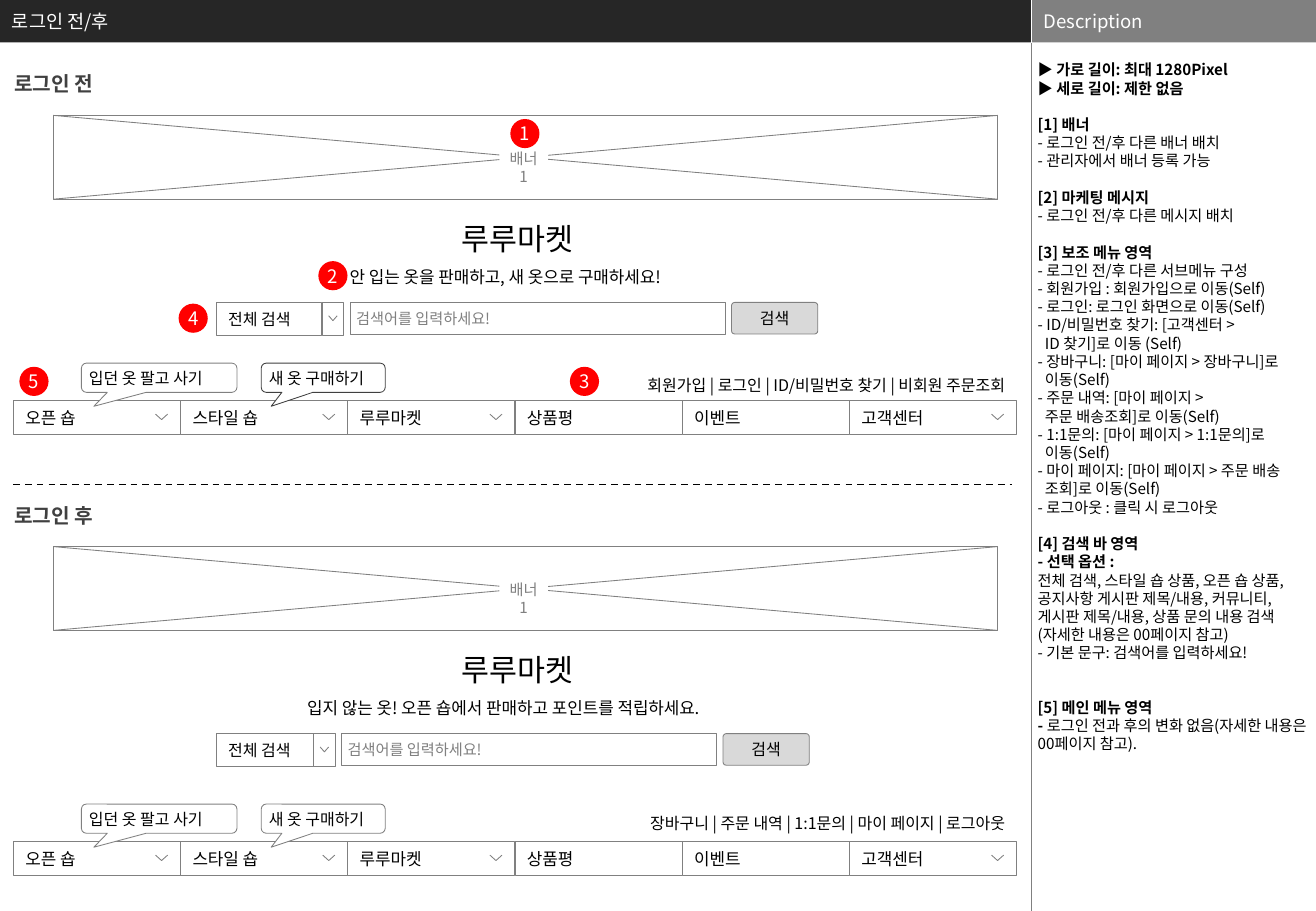
from dataclasses import dataclass

from lxml import etree
from pptx import Presentation, util as u
from pptx.dml.color import RGBColor
from pptx.enum import dml, shapes, text
from pptx.oxml import ns

COLS, ROWS = 1083, 750
CELL = u.Inches(0.01)
FONT = "Noto Sans CJK KR"
GREY, DARK, WHITE, BLACK, RED = "808080", "404040", "FFFFFF", "000000", "FF0000"
KIND, SIDE = shapes.MSO_SHAPE, text.PP_ALIGN
LEAD = 10.8
SPLIT, HEAD = 849, 35
TAB, DEEP = 137.6, 28


@dataclass
class Box:
    x: float
    y: float
    w: float
    h: float


@dataclass
class Type:
    size: float = 9.5
    color: str = BLACK
    bold: bool = False
    side: SIDE = SIDE.LEFT
    pad: float = 5


@dataclass
class Part:
    title: str
    slogan: str
    links: str
    top: int
    menu: int
    left: int
    pick: int
    edge: str
    gap: int


@dataclass
class Note:
    text: str
    bold: bool = False
    gap: int = 0
    dent: int = 0
    tail: str = ""


@dataclass
class Mark:
    label: str
    x: int
    y: int


PARTS = [
    Part("로그인 전", "안 입는 옷을 판매하고, 새 옷으로 구매하세요!",
         "회원가입 | 로그인 | ID/비밀번호 찾기 | 비회원 주문조회", 95, 330, 278, 87, DARK, 13),
    Part("로그인 후", "입지 않는 옷! 오픈 숍에서 판매하고 포인트를 적립하세요.",
         "장바구니 | 주문 내역 | 1:1문의 | 마이 페이지 | 로그아웃", 450, 693, 243, 80, GREY, 15),
]
MENU = [("오픈 숍", True), ("스타일 숍", True), ("루루마켓", True),
        ("상품평", False), ("이벤트", False), ("고객센터", True)]
MARKS = [Mark("1", 420, 98), Mark("2", 262, 215), Mark("3", 469, 302),
         Mark("4", 147, 250), Mark("5", 16, 302)]
NOTES = [
    Note("▶ 가로 길이: 최대 1280Pixel", True),
    Note("▶ 세로 길이: 제한 없음", True),
    Note("[1] 배너", True, 1),
    Note("- 로그인 전/후 다른 배너 배치"),
    Note("- 관리자에서 배너 등록 가능"),
    Note("[2] 마케팅 메시지", True, 1),
    Note("- 로그인 전/후 다른 메시지 배치"),
    Note("[3] 보조 메뉴 영역", True, 1),
    Note("- 로그인 전/후 다른 서브메뉴 구성"),
    Note("- 회원가입 : 회원가입으로 이동(Self)"),
    Note("- 로그인: 로그인 화면으로 이동(Self)"),
    Note("- ID/비밀번호 찾기: [고객센터 >"),
    Note("ID 찾기]로 이동 (Self)", dent=6),
    Note("- 장바구니: [마이 페이지 > 장바구니]로"),
    Note("이동(Self)", dent=6),
    Note("- 주문 내역: [마이 페이지 >"),
    Note("주문 배송조회]로 이동(Self)", dent=6),
    Note("- 1:1문의: [마이 페이지 > 1:1문의]로"),
    Note("이동(Self)", dent=6),
    Note("- 마이 페이지: [마이 페이지 > 주문 배송"),
    Note("조회]로 이동(Self)", dent=6),
    Note("- 로그아웃 : 클릭 시 로그아웃"),
    Note("[4] 검색 바 영역", True, 1),
    Note("- 선택 옵션 :", True),
    Note("전체 검색, 스타일 숍 상품, 오픈 숍 상품, 공지사항 게시판 제목/내용, 커뮤니티, "
         "게시판 제목/내용, 상품 문의 내용 검색(자세한 내용은 00페이지 참고)"),
    Note("- 기본 문구: 검색어를 입력하세요!"),
    Note("[5] 메인 메뉴 영역", True, 2),
    Note("- ", True, tail="로그인 전과 후의 변화 없음(자세한 내용은 00페이지 참고)."),
]

deck = Presentation()
deck.slide_width, deck.slide_height = COLS * CELL, ROWS * CELL
page = deck.slides.add_slide(deck.slide_layouts[6]).shapes


def grid(*vals: float) -> list[int]:
    return [u.Emu(round(val * CELL)) for val in vals]


def hue(code: str) -> RGBColor:
    return RGBColor.from_string(code)


def style(run, look: Type) -> None:
    run.font.size, run.font.bold = u.Pt(look.size), look.bold
    run.font.color.rgb = hue(look.color)
    run.font.name = FONT
    etree.SubElement(run.font._element, ns.qn("a:ea"), typeface=FONT)


def write(shape, words: str, look: Type, wrap: bool = True) -> None:
    frame = shape.text_frame
    frame.word_wrap = wrap
    frame.vertical_anchor = text.MSO_ANCHOR.MIDDLE
    frame.margin_left = frame.margin_right = grid(look.pad)[0]
    frame.margin_top = frame.margin_bottom = 0
    frame.text = words
    for para in frame.paragraphs:
        para.alignment = look.side
        for run in para.runs:
            style(run, look)


def paint(shape, fill: str, edge: str) -> None:
    shape.shadow.inherit = False
    shape.fill.solid()
    shape.fill.fore_color.rgb = hue(fill)
    if edge:
        shape.line.color.rgb, shape.line.width = hue(edge), u.Pt(0.5)
    else:
        shape.line.fill.background()


def block(kind: KIND, box: Box, fill: str = WHITE, edge: str = GREY):
    shape = page.add_shape(kind, *grid(box.x, box.y, box.w, box.h))
    paint(shape, fill, edge)
    return shape


def label(box: Box, words: str, look: Type) -> None:
    write(page.add_textbox(*grid(box.x, box.y, box.w, box.h)), words, look)


def line(x: float, y: float, x2: float, y2: float, color: str = GREY, width: float = 0.5):
    link = page.add_connector(shapes.MSO_CONNECTOR.STRAIGHT, *grid(x, y, x2, y2))
    link.line.color.rgb, link.line.width = hue(color), u.Pt(width)
    etree.SubElement(link._element.spPr, ns.qn("a:effectLst"))
    return link


def arrow(x: float, y: float, w: int, h: int) -> None:
    form = page.build_freeform(round(x * 10), round(y * 10), CELL / 10)
    form.add_line_segments([(round(x * 10 + w * 5), round((y + h) * 10)),
                            (round((x + w) * 10), round(y * 10))], close=False)
    paint(form.convert_to_shape(), WHITE, GREY)


def banner(y: int) -> None:
    x, w, h = 44, 777, 69
    block(KIND.RECTANGLE, Box(x, y, w, h))
    line(x, y + h, x + w, y)
    line(x, y, x + w, y + h)
    tag = block(KIND.RECTANGLE, Box(411, y + 28, 40, 30), edge="")
    write(tag, "배너\v1", Type(9, GREY, side=SIDE.CENTER, pad=4))
    tag.text_frame.paragraphs[0].line_spacing = u.Pt(LEAD)


def search(y: int, w: int) -> None:
    x, field = 178, 201 + w
    write(block(KIND.RECTANGLE, Box(x, y, w, 27)), "전체 검색", Type(pad=10))
    block(KIND.RECTANGLE, Box(x + w, y, 18, 27))
    arrow(x + w + 5.5, y + 11, 7, 4)
    write(block(KIND.RECTANGLE, Box(field, y, 309, 26)), "검색어를 입력하세요!", Type(9, GREY))
    key = block(KIND.ROUNDED_RECTANGLE, Box(field + 314, y, 71, 26), "D9D9D9")
    key.adjustments[0] = 0.1
    write(key, "검색", Type(side=SIDE.CENTER))


def menu(y: int, edge: str) -> None:
    for i, (name, more) in enumerate(MENU):
        x = 11 + i * TAB
        write(block(KIND.RECTANGLE, Box(x, y, TAB, DEEP)), name, Type(10, pad=10))
        if more:
            arrow(x + 117, y + 11, 10, 4.5)
    for x, w, words, rim in [(215, 102, "새 옷 구매하기", edge), (67, 128, "입던 옷 팔고 사기", GREY)]:
        tip = block(KIND.ROUNDED_RECTANGULAR_CALLOUT, Box(x, y - 31, w, 24), edge=rim)
        for i, val in enumerate((-0.42, 0.98, 0.17)):
            tip.adjustments[i] = val
        write(tip, words, Type())


def section(part: Part) -> None:
    label(Box(2, part.top - 41, 200, 30), part.title, Type(12, DARK, True, pad=10))
    banner(part.top)
    label(Box(347, part.top + 81, 158, 40), "루루마켓", Type(18, side=SIDE.CENTER, pad=10))
    label(Box(part.left, part.top + 119, 400, 27), part.slogan, Type(10, pad=10))
    search(part.top + 154, part.pick)
    label(Box(397, part.menu - part.gap - 15, 440, 30), part.links, Type(side=SIDE.RIGHT, pad=10))
    menu(part.menu, part.edge)


def notes() -> None:
    area = page.add_textbox(*grid(SPLIT + 1, HEAD + 15, COLS - SPLIT, ROWS - HEAD - 15))
    frame = area.text_frame
    frame.word_wrap = True
    frame.margin_left = frame.margin_right = grid(4)[0]
    frame.margin_top = frame.margin_bottom = 0
    for i, note in enumerate(NOTES):
        para = frame.add_paragraph() if i else frame.paragraphs[0]
        para.text = note.text
        para.line_spacing, para.space_before = u.Pt(LEAD), u.Pt(LEAD * note.gap)
        if note.dent:
            para._p.get_or_add_pPr().set("marL", str(grid(note.dent)[0]))
        style(para.runs[0], Type(9, bold=note.bold))
        if note.tail:
            more = para.add_run()
            more.text = note.tail
            style(more, Type(9))


def main() -> None:
    """Build the login wireframe slide and save it."""
    for x, w, fill, words in [(0, SPLIT, "262626", "로그인 전/후"),
                              (SPLIT, COLS - SPLIT, GREY, "Description")]:
        bar = block(KIND.RECTANGLE, Box(x, 0, w, HEAD), fill, "")
        write(bar, words, Type(11, WHITE, pad=10))
    line(SPLIT, 0, SPLIT, HEAD, WHITE, 0.25)
    line(SPLIT, HEAD, SPLIT, ROWS, GREY, 0.25)
    notes()
    for part in PARTS:
        section(part)
    line(11, 399, 833, 399, BLACK, 1).line.dash_style = dml.MSO_LINE.DASH
    for mark in MARKS:
        dot = block(KIND.OVAL, Box(mark.x, mark.y, 24, 24), RED, "")
        write(dot, mark.label, Type(11, WHITE, side=SIDE.CENTER, pad=0), False)
    deck.save("out.pptx")


if __name__ == "__main__":
    main()
